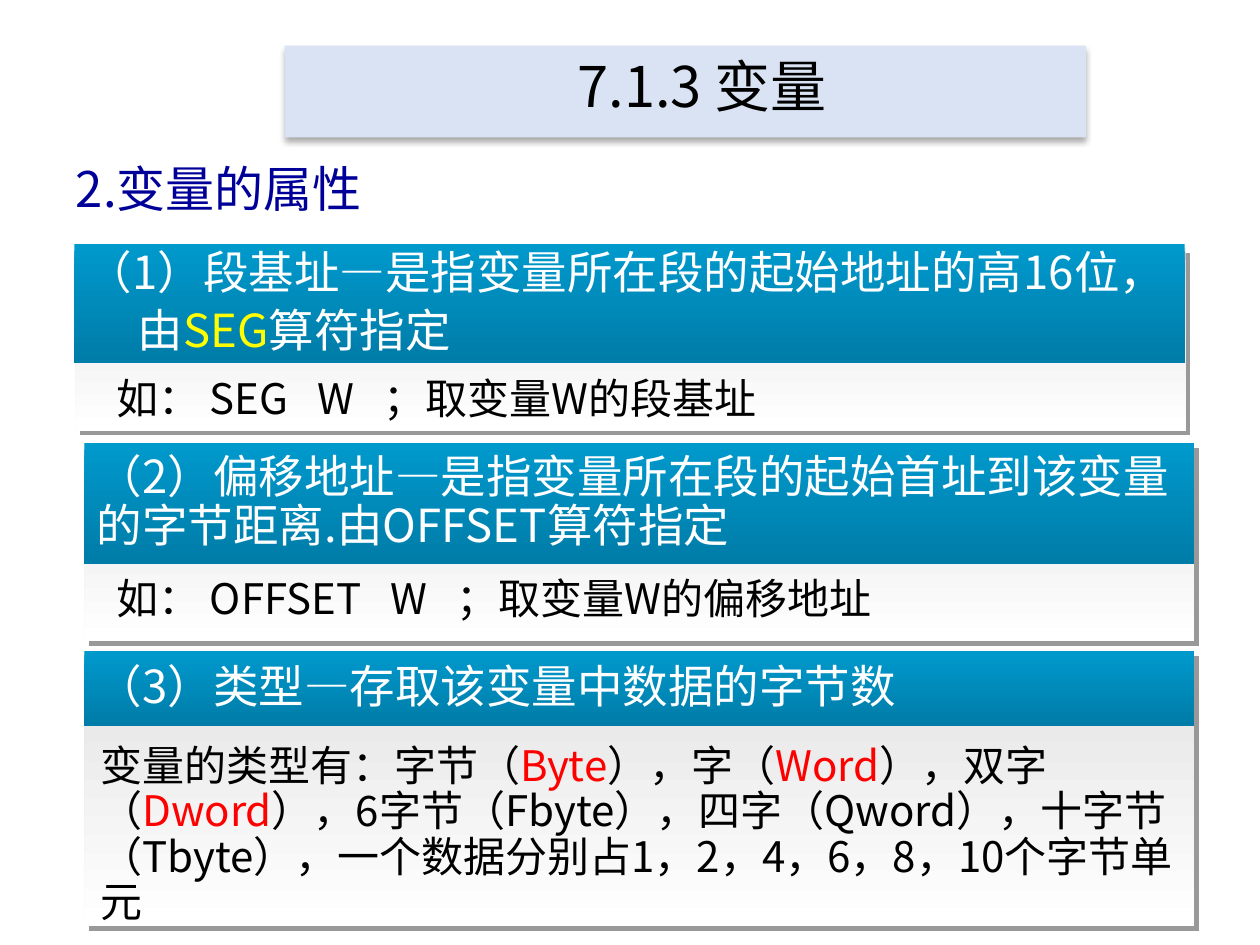
import pptx
import pptx.util
import pptx.dml.color
import pptx.enum.shapes
import pptx.enum.text
import pptx.oxml.ns
from lxml import etree

Cm = pptx.util.Cm
Pt = pptx.util.Pt
RGBColor = pptx.dml.color.RGBColor
ANCHOR = pptx.enum.text.MSO_ANCHOR
qn = pptx.oxml.ns.qn

FONT = "Noto Sans CJK SC"
BLACK = RGBColor(0x00, 0x00, 0x00)
WHITE = RGBColor(0xFF, 0xFF, 0xFF)
RED = RGBColor(0xFF, 0x00, 0x00)
YELLOW = RGBColor(0xFF, 0xFF, 0x00)
NAVY = RGBColor(0x00, 0x00, 0x99)
BLUE = RGBColor(0x00, 0x99, 0xCC)
DEEP_BLUE = RGBColor(0x00, 0x7C, 0xA8)
SILVER = RGBColor(0xE2, 0xE2, 0xE2)
GREY = RGBColor(0x99, 0x99, 0x99)
PALE_BLUE = RGBColor(0xDA, 0xE3, 0xF3)

CARD_WIDTH = Cm(22.38)


def add_shadow(s, color, alpha, blur, dist, angle):
    s.shadow.inherit = False
    effects = s._element.spPr.find(qn("a:effectLst"))
    shadow = etree.SubElement(
        effects, qn("a:outerShdw"), blurRad=str(Pt(blur)), dist=str(Pt(dist)),
        dir=str(angle * 60000), algn="tl", rotWithShape="0")
    clr = etree.SubElement(shadow, qn("a:srgbClr"), val=str(color))
    etree.SubElement(clr, qn("a:alpha"), val=str(alpha * 1000))


def set_tabs(p, stops):
    tabs = etree.SubElement(p._p.get_or_add_pPr(), qn("a:tabLst"))
    for stop in stops:
        etree.SubElement(tabs, qn("a:tab"), pos=str(Cm(stop)), algn="l")


def write(p, parts, size, color, spacing=None, tabs=()):
    if spacing:
        p.line_spacing = spacing
    if tabs:
        set_tabs(p, tabs)
    p.font.size = Pt(size)
    p.font.color.rgb = color
    p.font.name = FONT
    etree.SubElement(p._p.pPr.find(qn("a:defRPr")), qn("a:ea"), typeface=FONT)
    for text, accent in parts:
        r = p.add_run()
        r.text = text
        if accent:
            r.font.color.rgb = accent


def add_title(slide, text):
    s = slide.shapes.title
    s.left, s.top, s.width, s.height = Cm(5.74), Cm(0.92), Cm(16.15), Cm(1.85)
    s.fill.solid()
    s.fill.fore_color.rgb = PALE_BLUE
    add_shadow(s, BLACK, 32, 3.5, 2.2, 90)
    tf = s.text_frame
    tf.vertical_anchor = ANCHOR.MIDDLE
    tf.margin_left, tf.margin_bottom = Cm(0.94), Cm(0.4)
    p = tf.paragraphs[0]
    p.alignment = pptx.enum.text.PP_ALIGN.CENTER
    write(p, [(text, None)], 32, BLACK)


def add_text(slide, left, top, width, height, parts, size, color, **style):
    s = slide.shapes.add_textbox(Cm(left), Cm(top), Cm(width), Cm(height))
    tf = s.text_frame
    tf.word_wrap = True
    tf.auto_size = pptx.enum.text.MSO_AUTO_SIZE.SHAPE_TO_FIT_TEXT
    write(tf.paragraphs[0], parts, size, color, **style)


def add_panel(group, left, top, height, upper, lower):
    s = group.shapes.add_shape(
        pptx.enum.shapes.MSO_SHAPE.ROUNDED_RECTANGLE,
        Cm(left), Cm(top), CARD_WIDTH, Cm(height))
    s.adjustments[0] = 0
    s.fill.gradient()
    s.fill.gradient_angle = 270
    for stop, color in zip(s.fill.gradient_stops, (upper, lower)):
        stop.color.rgb = color
    s.line.fill.background()
    s.shadow.inherit = False
    return s


def add_card(slide, left, top, height, head_left, head_top, head_height, lines):
    group = slide.shapes.add_group_shape()
    body = add_panel(group, left, top, height, SILVER, WHITE)
    add_shadow(body, GREY, 100, 0, 4, 45)
    head = add_panel(group, head_left, head_top, head_height, BLUE, DEEP_BLUE)
    tf = head.text_frame
    tf.word_wrap = True
    tf.vertical_anchor = ANCHOR.MIDDLE
    for i, parts in enumerate(lines):
        p = tf.add_paragraph() if i else tf.paragraphs[0]
        p.alignment = pptx.enum.text.PP_ALIGN.LEFT
        if i:
            p.space_before = Pt(5.2)
            p._p.get_or_add_pPr().set("marL", str(Cm(1.03)))
        write(p, parts, 26, WHITE, 0.9)


def main():
    prs = pptx.Presentation()
    prs.slide_width, prs.slide_height = Cm(25.4), Cm(19.05)
    slide = prs.slides.add_slide(prs.slide_layouts[5])

    add_card(slide, 1.52, 5, 3.68, 1.5, 4.92, 2.4, [
        [("（1）段基址—是指变量所在段的起始地址的高16位，", None)],
        [("由", None), ("SEG", YELLOW), ("算符指定", None)]])
    add_text(slide, 2.1, 7.34, 21.82, 1.22,
             [("如： SEG\tW\t；取变量W的段基址", None)],
             24, BLACK, spacing=1.05, tabs=(4.05, 5.38))

    add_card(slide, 1.7, 8.93, 3.99, 1.7, 8.93, 2.44, [
        [("（2）偏移地址—是指变量所在段的起始首址到该变量的字节距离.由OFFSET算符指定", None)]])
    add_text(slide, 2.1, 11.53, 21.64, 1.22,
             [("如： OFFSET\tW\t；取变量W的偏移地址", None)],
             24, BLACK, spacing=0.9, tabs=(5.52, 6.85))

    add_text(slide, 1.28, 3.08, 22.23, 1.45, [("2.变量的属性", None)], 28, NAVY)

    add_card(slide, 1.7, 13.13, 5.54, 1.7, 13.13, 1.5, [
        [("（3）类型—存取该变量中数据的字节数", None)]])
    add_text(slide, 1.77, 14.9, 22.3, 3.96, [
        ("变量的类型有：字节（", None), ("Byte", RED),
        ("），字（", None), ("Word", RED),
        ("），双字（", None), ("Dword", RED),
        ("），6字节（Fbyte），四字（Qword），十字节（Tbyte），"
         "一个数据分别占1，2，4，6，8，10个字节单元", None)],
        24, BLACK, spacing=0.9)

    add_title(slide, "7.1.3 变量")
    prs.save("out.pptx")


if __name__ == "__main__":
    main()
